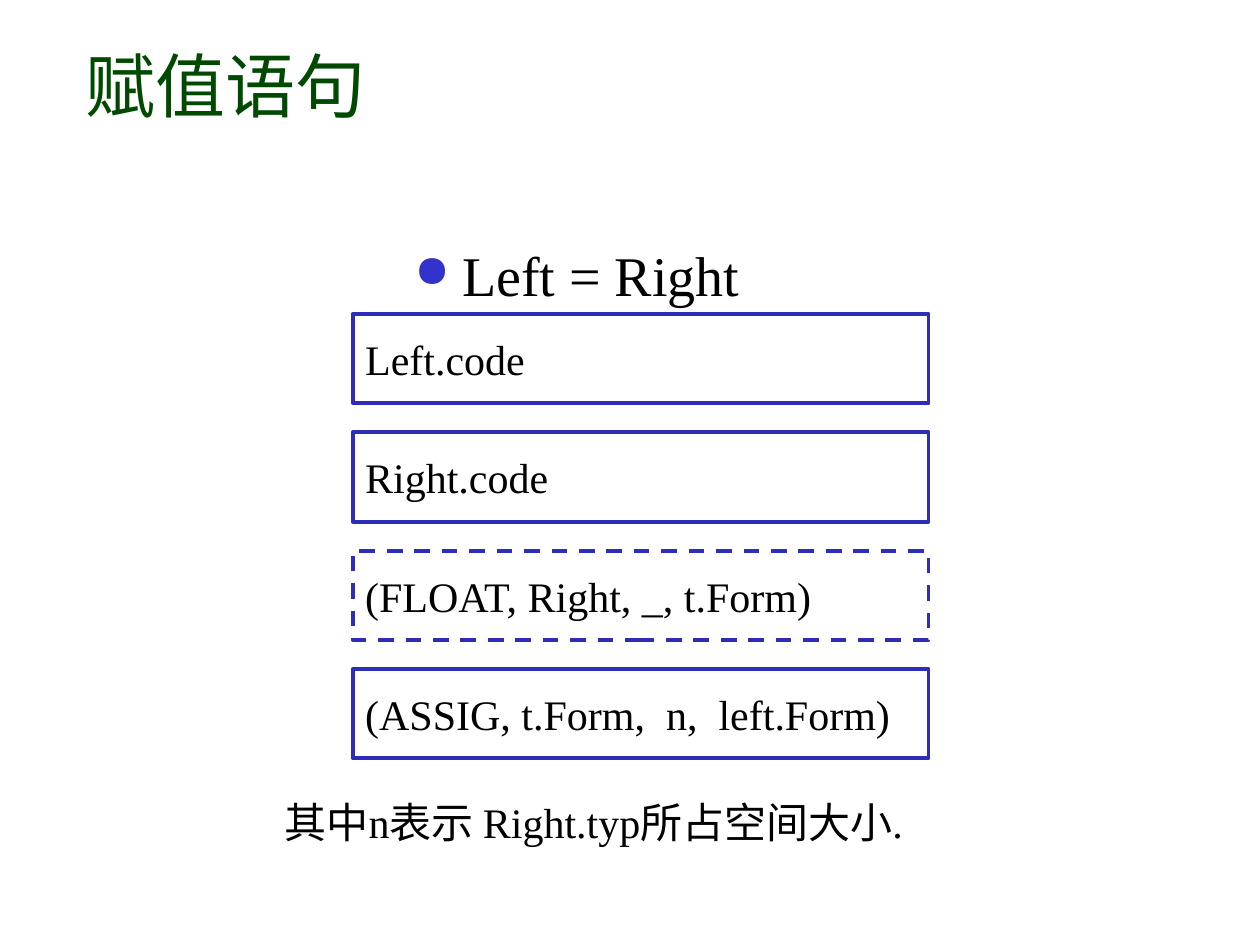
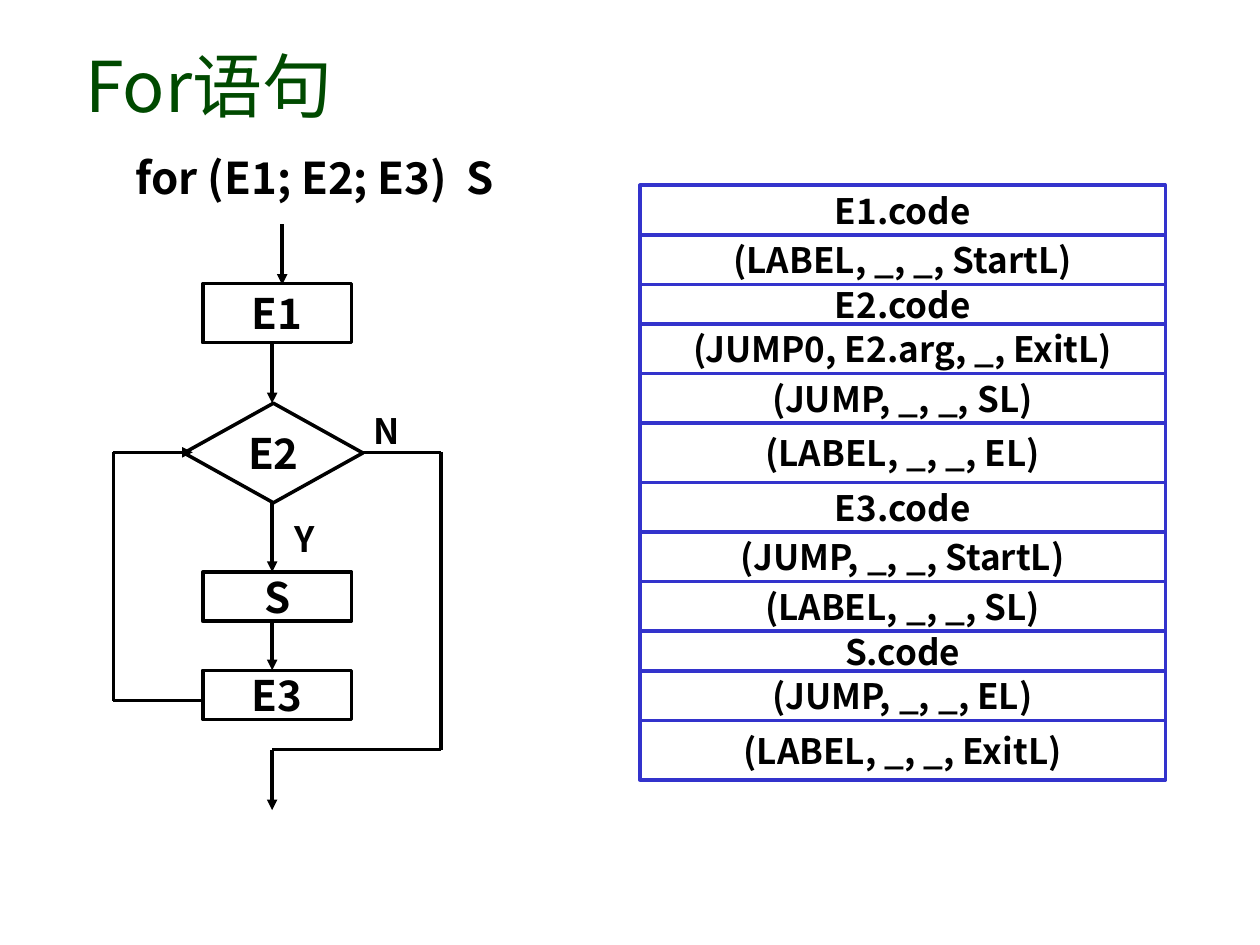
from itertools import pairwise

from lxml.etree import SubElement
from pptx import Presentation
from pptx.dml.color import RGBColor
from pptx.enum.dml import MSO_LINE
from pptx.enum.shapes import MSO_CONNECTOR, MSO_SHAPE
from pptx.enum.text import MSO_ANCHOR, PP_ALIGN
from pptx.oxml.ns import qn
from pptx.util import Inches, Pt

COLOURS = {
    "title": "004A00",
    "text": "000000",
    "flow": "000000",
    "bullet": "3333CC",
    "box": "2D2DB9",
    "row": "3333CC",
}
SANS = "Noto Sans CJK KR"
SERIF = "Times New Roman"

# Text formats
TITLE = {"name": SANS, "size": Pt(40)}
BULLET = {"name": SERIF, "size": Pt(32)}
SERIF_BODY = {"name": SERIF, "size": Pt(24)}
STATEMENT = {"name": SANS, "size": Pt(25), "bold": True}
FLOW_NODE = {"name": SANS, "size": Pt(24), "bold": True}
SANS_LABEL = {"name": SANS, "size": Pt(20), "bold": True}

# Assignment: instruction boxes, evenly spaced
ASSIGNMENT_STEPS = [
    ("Left.code", None),
    ("Right.code", None),
    ("(FLOAT, Right, _, t.Form)", MSO_LINE.DASH),
    ("(ASSIG, t.Form,  n,  left.Form)", None),
]
STEP_TOP, STEP_PITCH = 2.49, 0.94

# For statement: stacked instructions with heights in row units
FOR_ROWS = [
    ("E1.code", 5),
    ("(LABEL, _, _, StartL)", 5),
    ("E2.code", 4),
    ("(JUMP0, E2.arg, _, ExitL)", 5),
    ("(JUMP, _, _, SL)", 5),
    ("(LABEL, _, _, EL)", 6),
    ("E3.code", 5),
    ("(JUMP, _, _, StartL)", 5),
    ("(LABEL, _, _, SL)", 5),
    ("S.code", 4),
    ("(JUMP, _, _, EL)", 5),
    ("(LABEL, _, _, ExitL)", 6),
]
ROWS_TOP, ROWS_HEIGHT = 1.47, 4.72

# Flowchart nodes and routes; every route but the first list ends in an arrow
AXIS = 2.16
FLOW_NODES = [
    ("E1", MSO_SHAPE.FLOWCHART_PROCESS, (1.61, 2.25, 1.18, 0.47)),
    ("E2", MSO_SHAPE.FLOWCHART_DECISION, (1.46, 3.2, 1.42, 0.79)),
    ("S", MSO_SHAPE.FLOWCHART_PROCESS, (1.61, 4.54, 1.18, 0.39)),
    ("E3", MSO_SHAPE.FLOWCHART_PROCESS, (1.61, 5.32, 1.18, 0.39)),
]
FLOW_ROUTES = [
    [(2.24, 1.78), (2.24, 2.26)],
    [(AXIS, 2.73), (AXIS, 3.2)],
    [(AXIS, 3.99), (AXIS, 4.54)],
    [(AXIS, 4.93), (AXIS, 5.32)],
    [(1.61, 5.56), (0.9, 5.56), (0.9, 3.59), (1.53, 3.59)],
    [(2.87, 3.59), (3.5, 3.59), (3.5, 5.95), (AXIS, 5.95), (AXIS, 6.43)],
]
BRANCH_LABELS = [("Y", 2.24, 4.06), ("N", 2.87, 3.2)]


def rgb(name):
    return RGBColor.from_string(COLOURS[name])


def write_text(shape, text, text_format, colour="text",
               align=PP_ALIGN.LEFT, anchor=MSO_ANCHOR.TOP):
    frame = shape.text_frame
    frame.word_wrap = True
    frame.vertical_anchor = anchor
    paragraph = frame.paragraphs[0]
    paragraph.alignment = align
    run = paragraph.add_run()
    run.text = text
    for attribute, value in text_format.items():
        setattr(run.font, attribute, value)
    run.font.color.rgb = rgb(colour)
    SubElement(run.font._element, qn("a:ea"), typeface=SANS)
    return paragraph


def add_text(slide, text, box, text_format, **options):
    shape = slide.shapes.add_textbox(*map(Inches, box))
    return write_text(shape, text, text_format, **options)


def add_title(slide, text):
    add_text(slide, text, (0.58, 0.17, 8.49, 1), TITLE,
             colour="title", anchor=MSO_ANCHOR.MIDDLE)


def add_bullet(paragraph):
    properties = paragraph._p.get_or_add_pPr()
    properties.set("marL", str(Inches(0.38)))
    properties.set("indent", str(-Inches(0.38)))
    colour = SubElement(properties, qn("a:buClr"))
    SubElement(colour, qn("a:srgbClr"), val=COLOURS["bullet"])
    SubElement(properties, qn("a:buSzPct"), val="80000")
    SubElement(properties, qn("a:buChar"), char="●")


def add_box(slide, kind, text, box, text_format, line_colour,
            line_width=2, dash=None, align=PP_ALIGN.CENTER):
    shape = slide.shapes.add_shape(kind, *map(Inches, box))
    shape.shadow.inherit = False
    shape.fill.background()
    shape.line.color.rgb = rgb(line_colour)
    shape.line.width = Pt(line_width)
    if dash:
        shape.line.dash_style = dash
    write_text(shape, text, text_format, align=align, anchor=MSO_ANCHOR.MIDDLE)


def add_route(slide, points):
    """Join the points with straight lines, with an arrowhead at the end."""
    for start, end in pairwise(points):
        connector = slide.shapes.add_connector(
            MSO_CONNECTOR.STRAIGHT, *map(Inches, start + end))
        connector.line.color.rgb = rgb("flow")
        connector.line.width = Pt(2)
        properties = connector._element.spPr
        SubElement(properties, qn("a:effectLst"))
    SubElement(properties.find(qn("a:ln")), qn("a:tailEnd"), type="triangle")


def build_assignment(slide):
    add_title(slide, "赋值语句")
    add_bullet(add_text(slide, "Left = Right", (3.19, 1.86, 3.86, 0.63), BULLET))
    for index, (text, dash) in enumerate(ASSIGNMENT_STEPS):
        box = (2.8, STEP_TOP + index * STEP_PITCH, 4.57, 0.71)
        add_box(slide, MSO_SHAPE.RECTANGLE, text, box, SERIF_BODY, "box",
                line_width=2.25, dash=dash, align=PP_ALIGN.LEFT)
    add_text(slide, "其中n表示 Right.typ所占空间大小.",
             (2.16, 6.27, 5.59, 0.5), SERIF_BODY)


def build_for_statement(slide):
    add_title(slide, "For语句")
    add_text(slide, "for (E1; E2; E3)  S", (0.98, 1.15, 4.25, 0.63), STATEMENT)

    # Flowchart
    for text, kind, box in FLOW_NODES:
        add_box(slide, kind, text, box, FLOW_NODE, "flow")
    for points in FLOW_ROUTES:
        add_route(slide, points)
    for text, left, top in BRANCH_LABELS:
        add_text(slide, text, (left, top, 0.47, 0.43), SANS_LABEL)

    # Instruction stack
    unit = ROWS_HEIGHT / sum(units for _, units in FOR_ROWS)
    top = ROWS_TOP
    for text, units in FOR_ROWS:
        height = units * unit
        add_box(slide, MSO_SHAPE.RECTANGLE, text, (5.08, top, 4.17, height),
                SANS_LABEL, "row")
        top += height


def main():
    presentation = Presentation()
    presentation.slide_width = Inches(10)
    presentation.slide_height = Inches(7.5)
    blank = presentation.slide_layouts[6]
    for build in (build_assignment, build_for_statement):
        build(presentation.slides.add_slide(blank))
    presentation.save("out.pptx")


if __name__ == "__main__":
    main()
